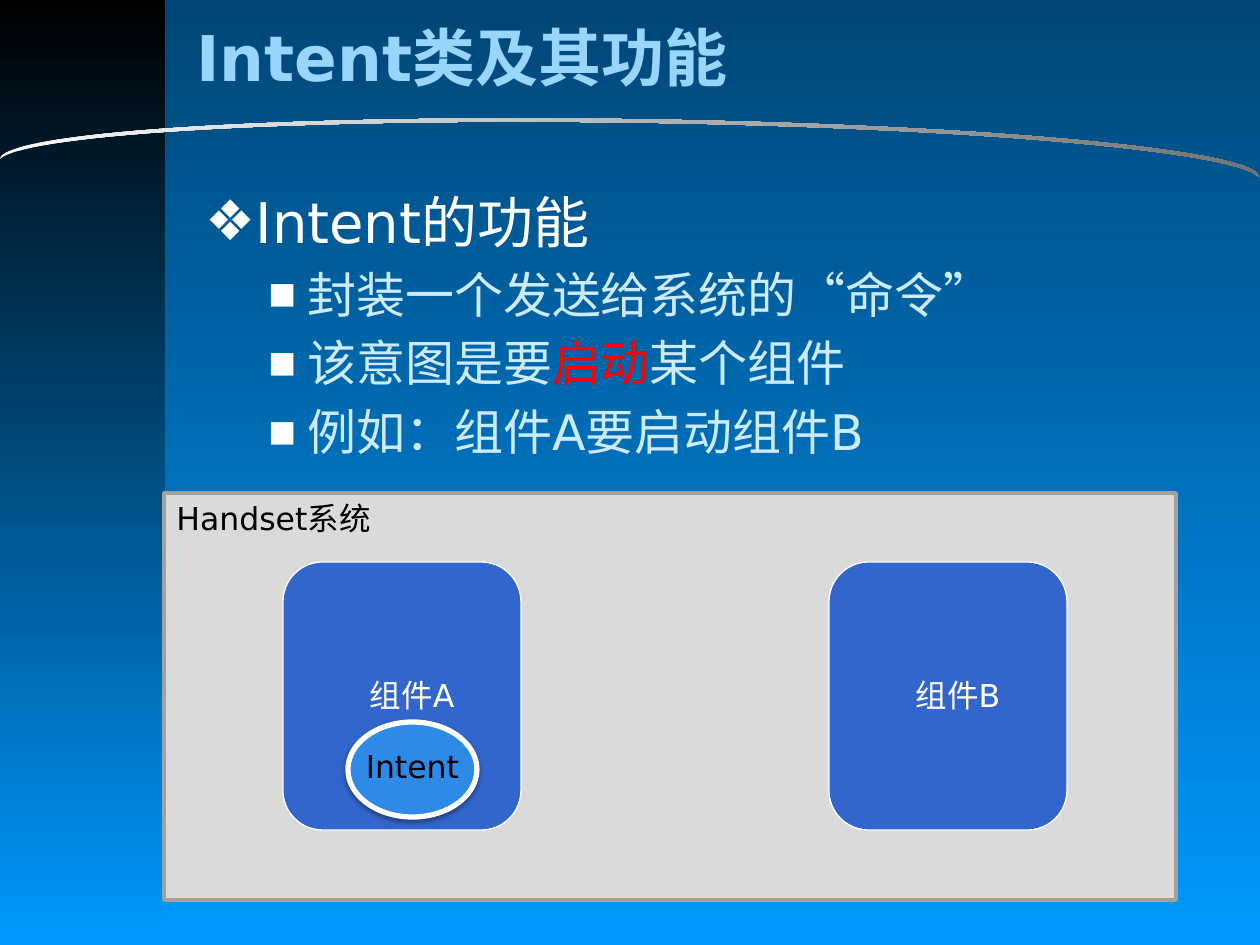
from dataclasses import dataclass
from typing import Any

from lxml import etree
from pptx import Presentation
from pptx import util as u
from pptx.dml.color import RGBColor
from pptx.enum import lang, shapes, text
from pptx.oxml import ns

SCALE = 914400 / 126
FONT = "DejaVu Sans"
KIND = shapes.MSO_SHAPE
HUE = {
    "deep": "004676", "sky": "0099FF", "black": "000000", "white": "FFFFFF",
    "pale": "F8F8F8", "dim": "737373", "title": "99D6FF", "item": "CCEBFF",
    "red": "FF0000", "panel": "DADADA", "edge": "A1A1A1", "part": "3366CC",
    "oval": "2D8AE7",
}
Box = tuple[int, int, int, int]
Run = tuple[str, str]


@dataclass
class Form:
    kind: Any
    box: Box
    fill: str
    edge: str = ""
    width: float = 0


@dataclass
class Line:
    runs: list[Run]
    size: int
    bold: bool = False
    mark: str = ""
    left: int = 0
    hang: int = 0
    ratio: int = 100


@dataclass
class Label:
    box: Box
    words: str
    hue: str


def px(n: int) -> int:
    return round(n * SCALE)


def rgb(name: str) -> RGBColor:
    return RGBColor.from_string(HUE[name])


def put(obj: Any, vals: dict[str, Any]) -> None:
    for key, val in vals.items():
        setattr(obj, key, val)


def add(top: Any, tag: str, **vals: Any) -> Any:
    node = etree.SubElement(top, ns.qn(tag))
    for key, val in vals.items():
        node.set(key, str(val))
    return node


def blend(fill: Any, first: str, last: str) -> None:
    fill.gradient()
    fill.gradient_angle = 270
    for stop, name in zip(fill.gradient_stops, (first, last)):
        stop.color.rgb = rgb(name)


def draw(slide: Any, form: Form) -> Any:
    shape = slide.shapes.add_shape(form.kind, *map(px, form.box))
    shape.shadow.inherit = False
    if "-" in form.fill:
        blend(shape.fill, *form.fill.split("-"))
    else:
        shape.fill.solid()
        shape.fill.fore_color.rgb = rgb(form.fill)
    if form.edge:
        shape.line.color.rgb = rgb(form.edge)
        shape.line.width = u.Pt(form.width)
    else:
        shape.line.fill.background()
    return shape


def bullet(para: Any, line: Line) -> None:
    para.space_before = u.Pt(line.size * 0.2)
    props = para._p.get_or_add_pPr()
    put_in = {"marL": px(line.left), "indent": -px(line.hang)}
    for key, val in put_in.items():
        props.set(key, str(val))
    add(add(props, "a:buClr"), "a:srgbClr", val=HUE["white"])
    add(props, "a:buSzPct", val=line.ratio * 1000)
    add(props, "a:buFont", typeface=FONT)
    add(props, "a:buChar", char=line.mark)


def write(shape: Any, lines: list[Line], align: Any = text.PP_ALIGN.LEFT,
          anchor: Any = text.MSO_ANCHOR.TOP) -> None:
    frame = shape.text_frame
    put(frame, {"word_wrap": True, "vertical_anchor": anchor})
    for i, line in enumerate(lines):
        para = frame.add_paragraph() if i else frame.paragraphs[0]
        para.alignment = align
        if line.mark:
            bullet(para, line)
        for words, hue in line.runs:
            run = para.add_run()
            run.text = words
            put(run.font, {
                "name": FONT, "size": u.Pt(line.size), "bold": line.bold,
                "language_id": lang.MSO_LANGUAGE_ID.SIMPLIFIED_CHINESE,
            })
            run.font.color.rgb = rgb(hue)


def room(slide: Any, box: Box) -> Any:
    return slide.shapes.add_textbox(*map(px, box))


def tag(slide: Any, label: Label) -> None:
    line = Line([(label.words, label.hue)], 18)
    write(room(slide, label.box), [line], text.PP_ALIGN.CENTER)


def shade(shape: Any) -> None:
    glow = add(shape.element.spPr.find(ns.qn("a:effectLst")), "a:outerShdw",
               blurRad=u.Pt(3.1), dist=u.Pt(1.6), dir=5400000, rotWithShape=0)
    add(add(glow, "a:srgbClr", val=HUE["black"]), "a:alpha", val=38000)


def item(*runs: Run) -> Line:
    return Line(list(runs), 28, mark="■", left=102, hang=39, ratio=60)


def back(slide: Any) -> None:
    blend(slide.background.fill, "deep", "sky")
    draw(slide, Form(KIND.RECTANGLE, (0, 0, 165, 945), "black-sky"))
    arc = draw(slide, Form(KIND.MOON, (605, -486, 49, 1259), "pale-dim"))
    arc.rotation = 270.8
    arc.adjustments[0] = 0.07
    arc.element.spPr.xfrm.set("flipH", "1")


def prose(slide: Any) -> None:
    write(room(slide, (184, 14, 955, 84)),
          [Line([("Intent类及其功能", "title")], 36, True)],
          anchor=text.MSO_ANCHOR.MIDDLE)
    write(room(slide, (193, 181, 1042, 683)), [
        Line([("Intent的功能", "white")], 32, mark="❖", left=48, hang=48),
        item(("封装一个发送给系统的“命令”", "item")),
        item(("该意图是要", "item"), ("启动", "red"), ("某个组件", "item")),
        item(("例如：组件A要启动组件B", "item")),
    ])


def scene(slide: Any) -> None:
    panel = Form(KIND.RECTANGLE, (164, 493, 1012, 407), "panel", "edge", 2)
    write(draw(slide, panel), [Line([("Handset系统", "black")], 18)])
    for left, name in ((283, "A"), (829, "B")):
        draw(slide, Form(KIND.ROUNDED_RECTANGLE, (left, 562, 238, 268),
                         "part", "white", 0.75))
        tag(slide, Label((left, 670, 258, 50), f"组件{name}", "white"))
    shade(draw(slide, Form(KIND.OVAL, (348, 722, 129, 95),
                           "oval", "white", 3)))
    tag(slide, Label((343, 741, 139, 50), "Intent", "black"))


def main() -> None:
    deck = Presentation()
    put(deck, {"slide_width": px(1260), "slide_height": px(945)})
    slide = deck.slides.add_slide(deck.slide_layouts[6])
    back(slide)
    prose(slide)
    scene(slide)
    deck.save("out.pptx")


if __name__ == "__main__":
    main()
